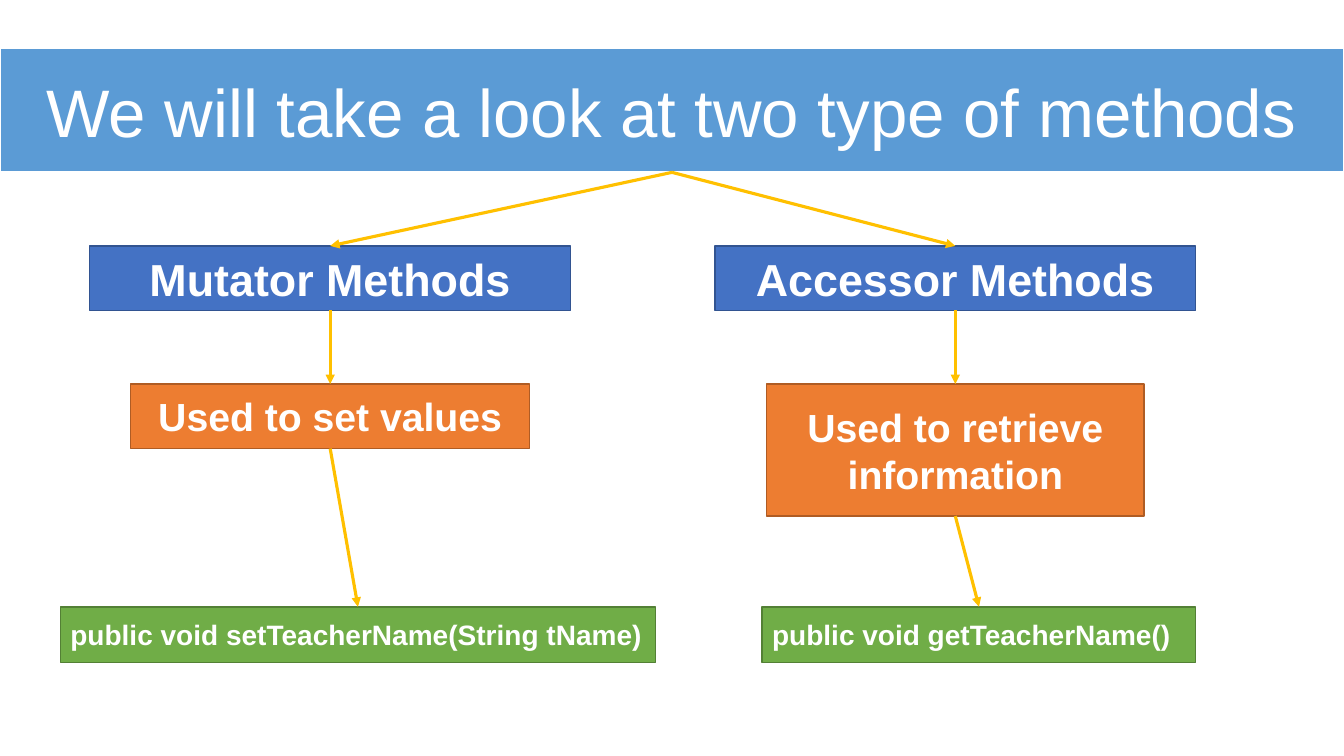
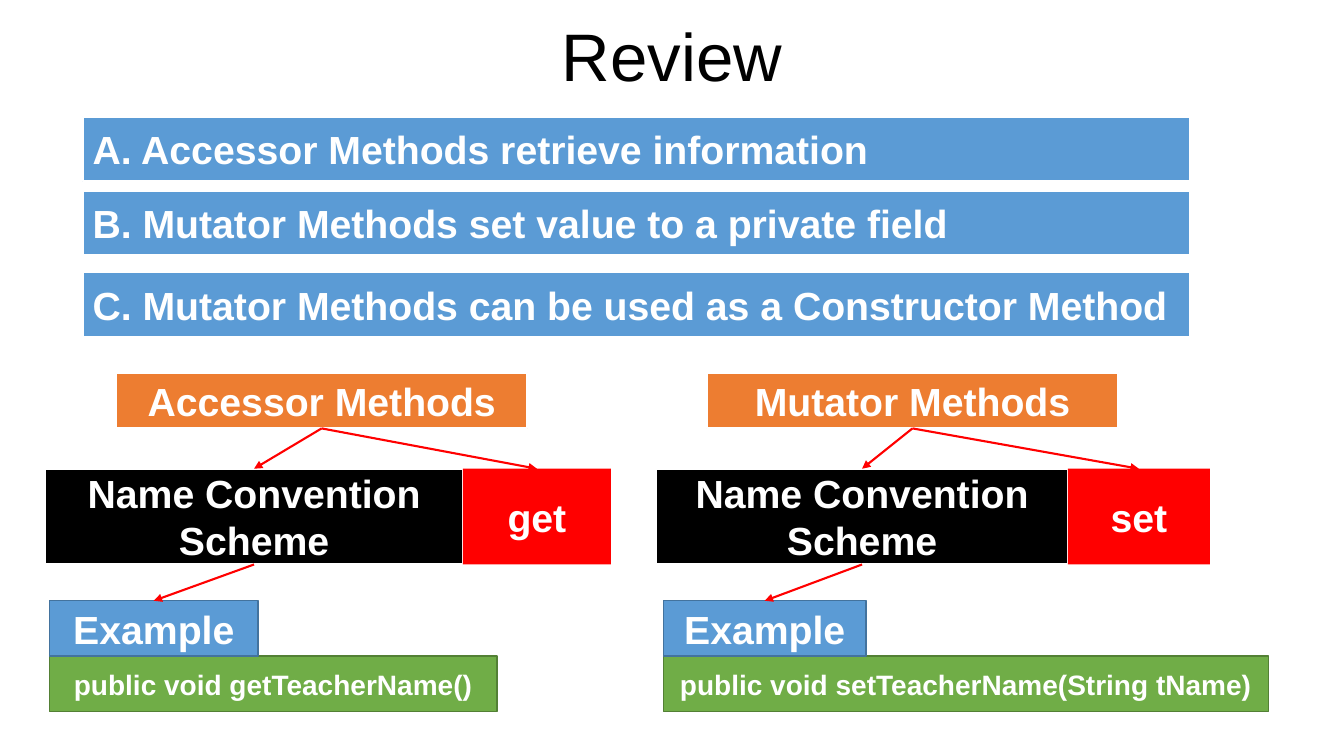
from pptx import Presentation
from pptx.dml.color import RGBColor
from pptx.enum.shapes import MSO_CONNECTOR as Connector, MSO_SHAPE as Preset
from pptx.enum.text import MSO_ANCHOR as Anchor, MSO_AUTO_SIZE as AutoSize, PP_ALIGN as Align
from pptx.oxml.ns import qn
from pptx.util import Inches, Pt
from lxml.etree import SubElement

FONT = "Arial"
SLIDE_WIDTH, SLIDE_HEIGHT = 13.33, 7.5
TITLE_ONLY = 5
TOP_SITE, BOTTOM_SITE = 0, 2
COLORS = {
    "white": "FFFFFF", "black": "000000", "red": "FF0000", "gold": "FFC000",
    "sky": "5B9BD5", "sky_edge": "43739E", "blue": "4472C4", "blue_edge": "325491",
    "orange": "ED7D31", "orange_edge": "AF5C24", "green": "70AD47", "green_edge": "538035",
}
SETTER = "public void setTeacherName(String tName)"
GETTER = "public void getTeacherName()"


def color(name):
    return RGBColor.from_string(COLORS[name])


def write(shape, text, size, text_color="white", bold=False, align=Align.CENTER):
    frame = shape.text_frame
    frame.text = text
    frame.word_wrap = True
    frame.auto_size = AutoSize.NONE
    frame.vertical_anchor = Anchor.MIDDLE
    paragraph = frame.paragraphs[0]
    paragraph.alignment = align
    font = paragraph.runs[0].font
    font.name, font.size, font.bold = FONT, Pt(size), bold
    font.color.rgb = color(text_color)


def paint(shape, fill, edge=None):
    shape.fill.solid()
    shape.fill.fore_color.rgb = color(fill)
    if edge is None:
        shape.line.fill.background()
        return
    shape.line.color.rgb = color(edge)
    shape.line.width = Pt(1.5 if edge == "white" else 1)


def add_title(slide, text, top, height, text_color):
    title = slide.shapes.title
    title.left, title.top = Inches(0), Inches(top)
    title.width, title.height = Inches(SLIDE_WIDTH), Inches(height)
    write(title, text, 48, text_color)
    return title


def add_box(slide, box, text, size, fill, edge=None, align=Align.CENTER):
    shape = slide.shapes.add_shape(Preset.RECTANGLE, *map(Inches, box))
    shape.shadow.inherit = False
    paint(shape, fill, edge)
    write(shape, text, size, bold=True, align=align)
    return shape


def add_arrow(slide, source, target, line_color, width):
    arrow = slide.shapes.add_connector(
        Connector.STRAIGHT,
        source.left + source.width // 2, source.top + source.height,
        target.left + target.width // 2, target.top)
    arrow.begin_connect(source, BOTTOM_SITE)
    arrow.end_connect(target, TOP_SITE)
    arrow.line.color.rgb = color(line_color)
    arrow.line.width = Pt(width)
    SubElement(arrow.line._get_or_add_ln(), qn("a:tailEnd"), type="triangle")
    SubElement(arrow._element.spPr, qn("a:effectLst"))


def add_method_column(slide, title, left, top, name, purpose, purpose_size, signature,
                      signature_offset, signature_width):
    header_width, header_height, gap = 4.77, 0.64, 0.73
    purpose_width, purpose_height = purpose_size
    header = add_box(slide, (left, top, header_width, header_height),
                     name, 32, "blue", "blue_edge")
    purpose_left = left + (header_width - purpose_width) / 2
    purpose_box = add_box(
        slide, (purpose_left, top + header_height + gap, purpose_width, purpose_height),
        purpose, 28, "orange", "orange_edge")
    signature_box = add_box(
        slide, (left + signature_offset, top + 3.58, signature_width, 0.55),
        signature, 20, "green", "green_edge", Align.LEFT)
    chain = [title, header, purpose_box, signature_box]
    for source, target in zip(chain, chain[1:]):
        add_arrow(slide, source, target, "gold", 2.25)


def add_convention_group(slide, left, top, name, name_offset, scheme_width, keyword,
                         keyword_width, signature, example_offset, example_width,
                         signature_width):
    row_height, scheme_height = 0.55, 0.95
    scheme_top, example_top = top + 0.95, top + 2.26
    example_left = left + example_offset
    add_box(slide, (example_left, example_top + row_height, signature_width, row_height),
            signature, 20, "green", "green_edge")
    scheme = add_box(slide, (left, scheme_top, scheme_width, scheme_height),
                     "Name Convention Scheme", 28, "black", "white")
    keyword_box = add_box(
        slide, (left + scheme_width, scheme_top, keyword_width, scheme_height),
        keyword, 28, "red")
    heading = add_box(slide, (left + name_offset, top, 4.08, row_height),
                      name, 28, "orange", "white")
    example = add_box(slide, (example_left, example_top, example_width, row_height),
                      "Example", 28, "sky", "sky_edge")
    for source, target in ((heading, scheme), (heading, keyword_box), (scheme, example)):
        add_arrow(slide, source, target, "red", 1.5)


def add_statements(slide, left, width, statements):
    for top, text in statements:
        add_box(slide, (left, top, width, 0.64), text, 28, "sky", "white", Align.LEFT)


def build_methods_slide(presentation):
    slide = presentation.slides.add_slide(presentation.slide_layouts[TITLE_ONLY])
    title = add_title(slide, "We will take a look at two type of methods", 0.48, 1.23, "white")
    paint(title, "sky", "white")
    add_method_column(slide, title, 0.89, 2.44, "Mutator Methods", "Used to set values",
                      (3.96, 0.64), SETTER, -0.29, 5.9)
    add_method_column(slide, title, 7.09, 2.44, "Accessor Methods",
                      "Used to retrieve information", (3.74, 1.31), GETTER, 0.47, 4.3)


def build_review_slide(presentation):
    slide = presentation.slides.add_slide(presentation.slide_layouts[TITLE_ONLY])
    add_title(slide, "Review", 0, 1.09, "black")
    add_statements(slide, 0.82, 10.98, (
        (1.16, "A. Accessor Methods retrieve information"),
        (1.89, "B. Mutator Methods set value to a private field"),
        (2.7, "C. Mutator Methods can be used as a Constructor Method"),
    ))
    add_convention_group(slide, 0.45, 3.7, "Accessor Methods", 0.7, 4.14, "get", 1.47,
                         GETTER, 0.04, 2.07, 4.44)
    add_convention_group(slide, 6.51, 3.7, "Mutator Methods", 0.5, 4.08, "set", 1.41,
                         SETTER, 0.07, 2.01, 6)


def main():
    presentation = Presentation()
    presentation.slide_width = Inches(SLIDE_WIDTH)
    presentation.slide_height = Inches(SLIDE_HEIGHT)
    build_methods_slide(presentation)
    build_review_slide(presentation)
    presentation.save("out.pptx")


if __name__ == "__main__":
    main()
